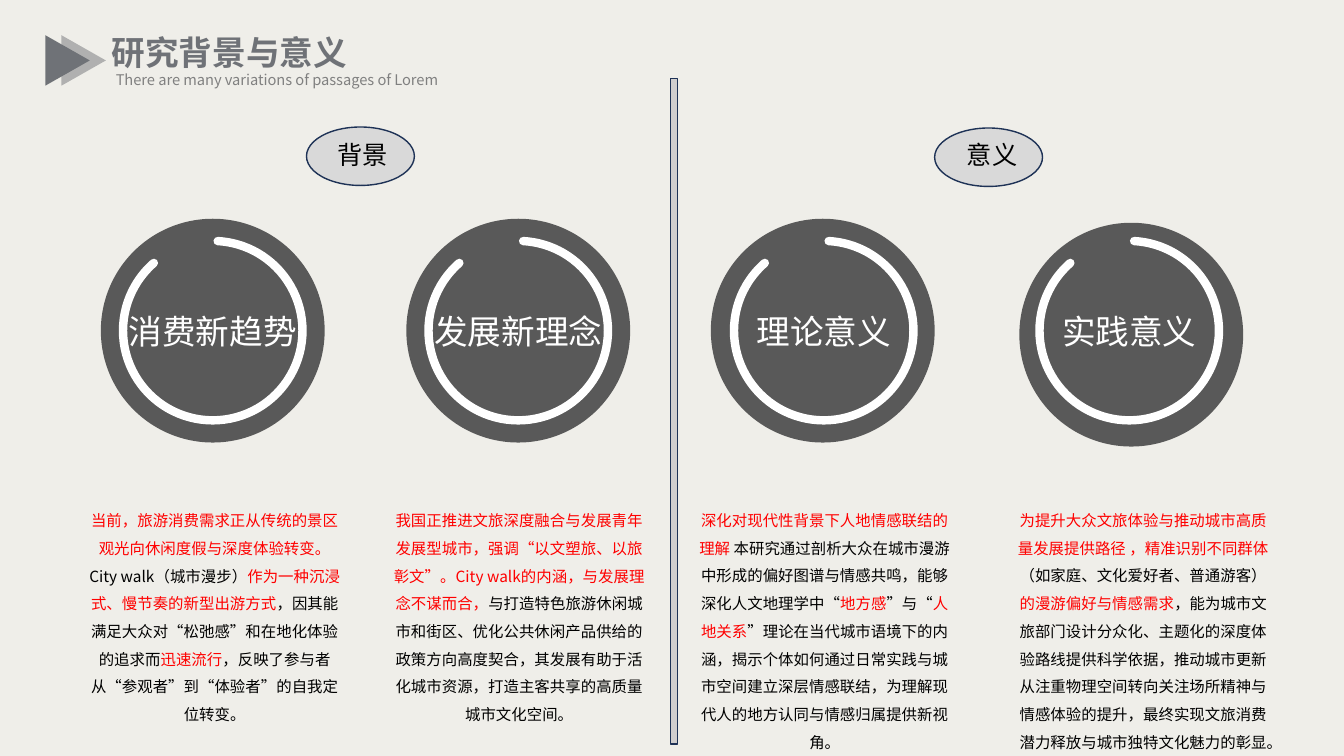
from lxml import etree
from pptx import Presentation
from pptx.dml.color import RGBColor
from pptx.enum.shapes import MSO_SHAPE
from pptx.enum.text import MSO_ANCHOR, MSO_AUTO_SIZE, PP_ALIGN
from pptx.oxml.ns import qn
from pptx.util import Inches, Pt

OVAL, ARC = MSO_SHAPE.OVAL, MSO_SHAPE.ARC
TRIANGLE, RECTANGLE = MSO_SHAPE.ISOSCELES_TRIANGLE, MSO_SHAPE.RECTANGLE
TOP, MIDDLE = MSO_ANCHOR.TOP, MSO_ANCHOR.MIDDLE
GROW = MSO_AUTO_SIZE.SHAPE_TO_FIT_TEXT
LEFT, CENTER = PP_ALIGN.LEFT, PP_ALIGN.CENTER

PAPER = RGBColor(0xEF, 0xEE, 0xE9)
DISC_GRAY = RGBColor(0x59, 0x59, 0x59)
SLATE = RGBColor(0x6F, 0x72, 0x77)
SUBTITLE_GRAY = RGBColor(0x80, 0x80, 0x80)
PALE_ARROW = RGBColor(0xB0, 0xB0, 0xB0)
DIVIDER_GRAY = RGBColor(0xD0, 0xCE, 0xCE)
BADGE_GRAY = RGBColor(0xD9, 0xD9, 0xD9)
NAVY = RGBColor(0x1E, 0x32, 0x56)
WHITE = RGBColor(0xFF, 0xFF, 0xFF)
BLACK = RGBColor(0, 0, 0)
RED = RGBColor(0xFF, 0, 0)

BODY_FONT = "Noto Sans CJK SC"
TOPIC_FONT = "TeX Gyre Adventor"

RING_LEFT, RING_TOP, RING_SIZE, RING_STEP = 1.22, 2.39, 1.78, 3.03
DISC_SIZE = 2.22

PILLARS = [
    ("消费新趋势", (1, 2.17), 0.75, 2.29, [
        ("当前，旅游消费需求正从传统的景区观光向休闲度假与深度体验转变。", RED),
        ("City walk（城市漫步）", BLACK),
        ("作为一种沉浸式、慢节奏的新型出游方式", RED),
        ("，因其能满足大众对“松弛感”和在地化体验的追求而", BLACK),
        ("迅速流行", RED),
        ("，反映了参与者从“参观者”到“体验者”的自我定位转变。", BLACK),
    ]),
    ("发展新理念", (4.03, 2.17), 3.77, 2.29, [
        ("我国正推进文旅深度融合与发展青年发展型城市，强调“以文塑旅、以旅彰文”。"
         "City walk的内涵，与发展理念不谋而合，", RED),
        ("与打造特色旅游休闲城市和街区、优化公共休闲产品供给的政策方向高度契合，"
         "其发展有助于活化城市资源，打造主客共享的高质量城市文化空间。", BLACK),
    ]),
    ("理论意义", (7.05, 2.17), 6.8, 2.57, [
        ("深化对现代性背景下人地情感联结的理解 ", RED),
        ("本研究通过剖析大众在城市漫游中形成的偏好图谱与情感共鸣，"
         "能够深化人文地理学中“", BLACK),
        ("地方感", RED),
        ("”与“", BLACK),
        ("人地关系", RED),
        ("”理论在当代城市语境下的内涵，揭示个体如何通过日常实践与城市空间建立"
         "深层情感联结，为理解现代人的地方认同与情感归属提供新视角。", BLACK),
    ]),
    ("实践意义", (10.11, 2.21), 9.96, 2.57, [
        ("为提升大众文旅体验与推动城市高质量发展提供路径 ，精准识别不同群体", RED),
        ("（如家庭、文化爱好者、普通游客）", BLACK),
        ("的漫游偏好与情感需求", RED),
        ("，能为城市文旅部门设计分众化、主题化的深度体验路线提供科学依据，"
         "推动城市更新从注重物理空间转向关注场所精神与情感体验的提升，"
         "最终实现文旅消费潜力释放与城市独特文化魅力的彰显。", BLACK),
    ]),
]


class SlideBuilder:
    def __init__(self, slide):
        self.slide = slide
        slide.background.fill.solid()
        slide.background.fill.fore_color.rgb = PAPER

    def shape(self, kind, left, top, width, height, fill=None, line=None, line_width=1, rotation=0):
        shape = self.slide.shapes.add_shape(
            kind, Inches(left), Inches(top), Inches(width), Inches(height))
        shape.shadow.inherit = False
        shape.rotation = rotation
        if fill is None:
            shape.fill.background()
        else:
            shape.fill.solid()
            shape.fill.fore_color.rgb = fill
        if line is None:
            shape.line.fill.background()
        else:
            shape.line.color.rgb = line
            shape.line.width = Pt(line_width)
        return shape

    def ring(self, left, top, size):
        ring = self.shape(ARC, left, top, size, size, line=WHITE, line_width=6)
        ring.adjustments[0] = 163.895
        ring.adjustments[1] = 137.394
        ring.line._get_or_add_ln().set("cap", "rnd")

    def text(self, runs, left, top, width, height, size, font=BODY_FONT, align=LEFT,
             anchor=TOP, wrap=True, bold=None, spacing=None):
        box = self.slide.shapes.add_textbox(
            Inches(left), Inches(top), Inches(width), Inches(height))
        frame = box.text_frame
        frame.word_wrap = wrap
        frame.auto_size = GROW
        frame.vertical_anchor = anchor
        paragraph = frame.paragraphs[0]
        paragraph.alignment = align
        paragraph.line_spacing = spacing
        paragraph.font.size = Pt(size)
        paragraph.font.bold = bold
        if len(runs) == 1:
            paragraph.font.color.rgb = runs[0][1]
        paragraph.font.name = font
        defaults = paragraph._p.pPr.find(qn("a:defRPr"))
        etree.SubElement(defaults, qn("a:ea")).set("typeface", font)
        for wording, color in runs:
            run = paragraph.add_run()
            run.text = wording
            if len(runs) > 1:
                run.font.color.rgb = color

    def heading(self):
        self.text([("研究背景与意义", SLATE)], 1.01, 0.27, 2.56, 0.5, 24, wrap=False, bold=True)
        self.text([("There are many variations of passages of Lorem", SUBTITLE_GRAY)],
                  1.05, 0.65, 4.34, 0.28, 10.5)
        for left, color in ((0.58, PALE_ARROW), (0.42, SLATE)):
            self.shape(TRIANGLE, left, 0.38, 0.5, 0.44, fill=color, rotation=90)

    def pillar(self, index, topic, disc, body_left, body_height, body):
        ring_left = RING_LEFT + index * RING_STEP
        topic_width = 0.33 * len(topic) + 0.22
        topic_left = ring_left + (RING_SIZE - topic_width) / 2
        self.shape(OVAL, *disc, DISC_SIZE, DISC_SIZE, fill=DISC_GRAY)
        self.ring(ring_left, RING_TOP, RING_SIZE)
        self.text([(topic, WHITE)], topic_left, 3.03, topic_width, 0.5, 24,
                  font=TOPIC_FONT, align=CENTER, anchor=MIDDLE, wrap=False)
        self.text(body, body_left, 4.93, 2.76, body_height, 11, align=CENTER, spacing=1.5)

    def badge(self, label, left, top, label_left, label_width):
        self.shape(OVAL, left, top, 1.07, 0.58, fill=BADGE_GRAY, line=NAVY)
        self.text([(label, BLACK)], label_left, 1.33, label_width, 0.4, 18, align=CENTER)


def main():
    deck = Presentation()
    deck.slide_width, deck.slide_height = Inches(13.33), Inches(7.5)
    builder = SlideBuilder(deck.slides.add_slide(deck.slide_layouts[6]))
    for index, pillar in enumerate(PILLARS):
        builder.pillar(index, *pillar)
    builder.heading()
    builder.shape(RECTANGLE, 6.65, 0.78, 0.07, 6.6, fill=DIVIDER_GRAY, line=NAVY)
    builder.badge("背景", 3.04, 1.26, 3.23, 0.74)
    builder.badge("意义", 9.27, 1.27, 9.44, 0.8)
    deck.save("out.pptx")


if __name__ == "__main__":
    main()
